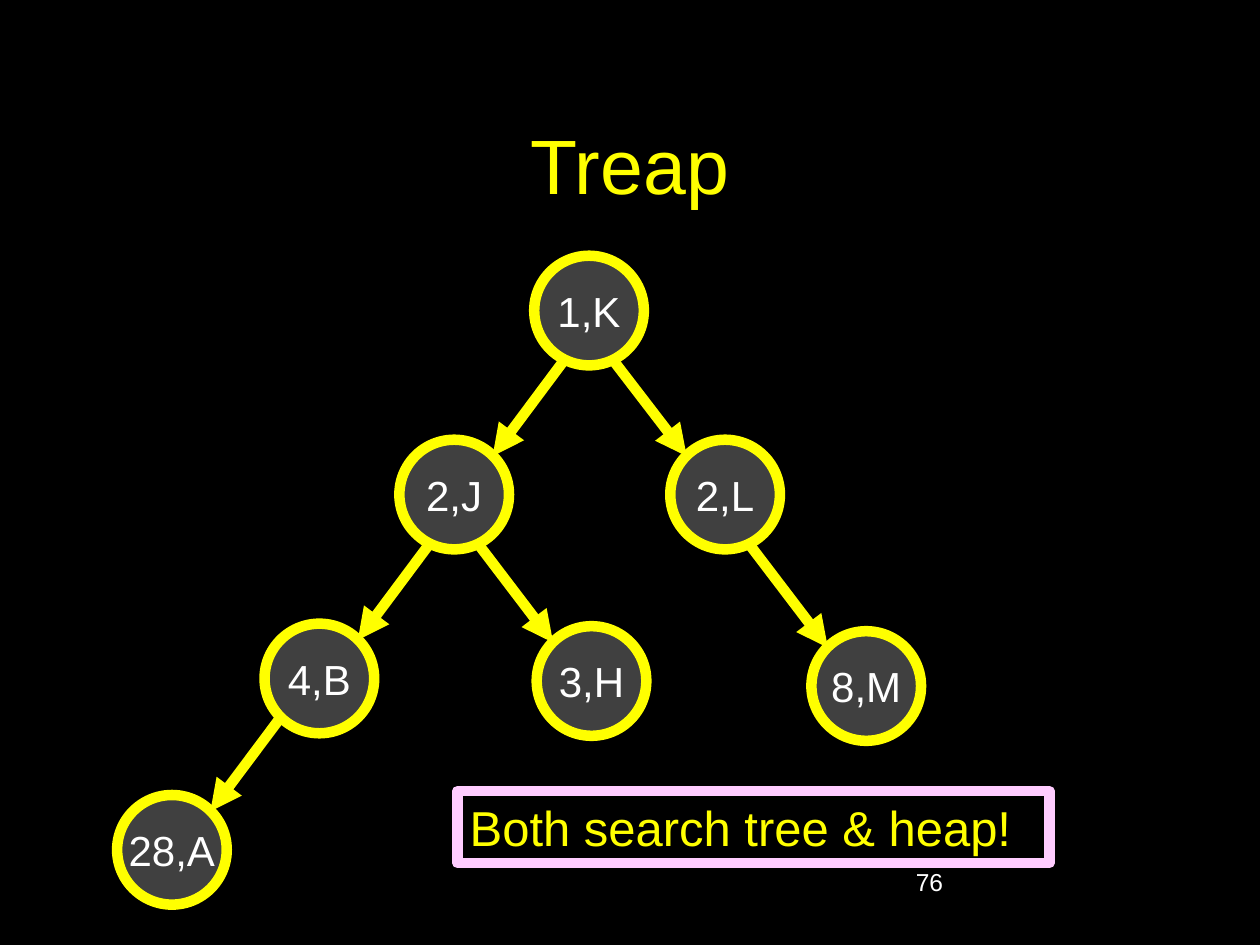
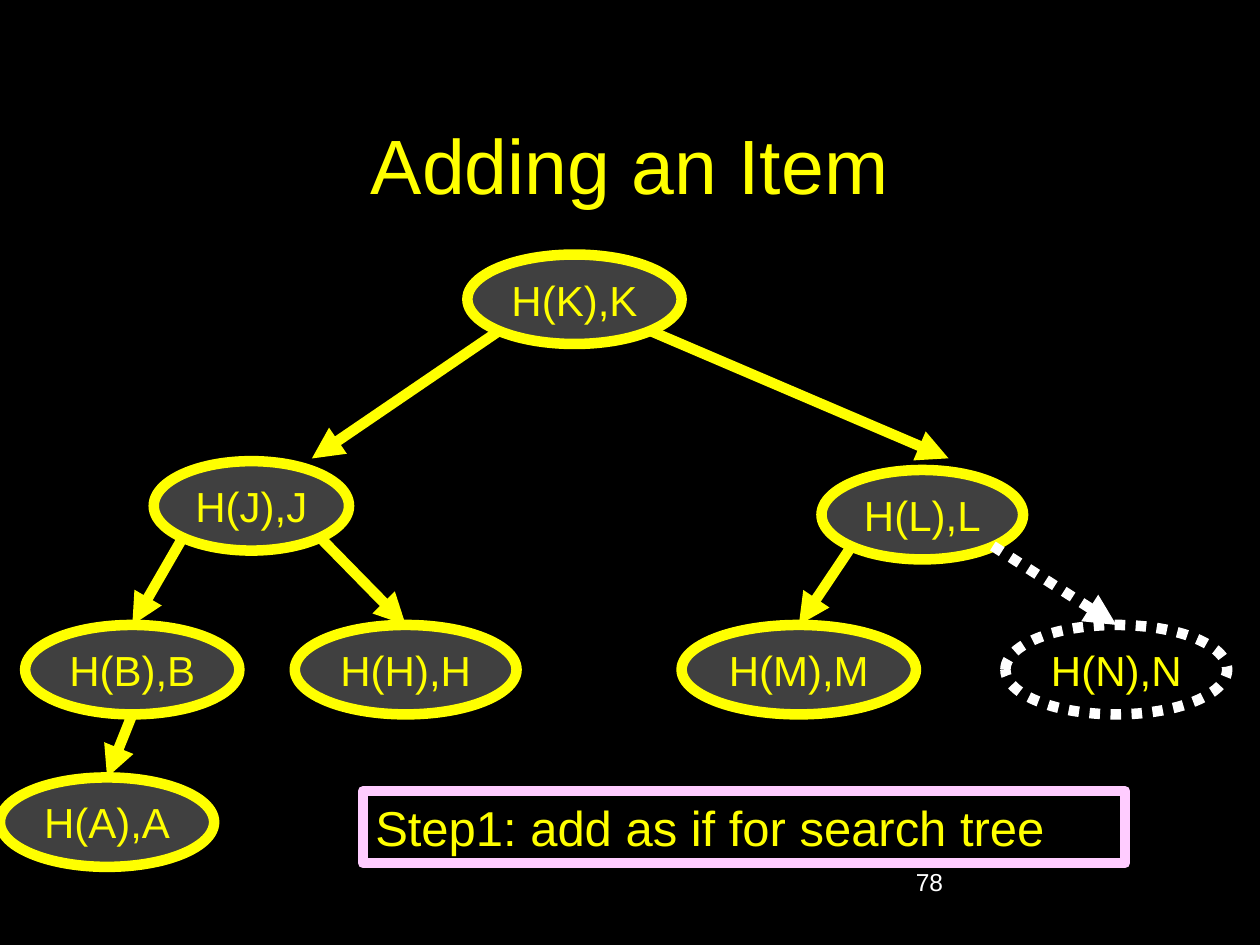
from dataclasses import dataclass
from typing import NamedTuple

from lxml.etree import SubElement
from pptx import Presentation
from pptx.dml.color import RGBColor
from pptx.enum.dml import MSO_LINE
from pptx.enum.shapes import MSO_CONNECTOR, MSO_SHAPE
from pptx.enum.text import MSO_ANCHOR, PP_ALIGN
from pptx.oxml.ns import qn
from pptx.util import Inches, Pt


class Box(NamedTuple):
    """A rectangle in inches."""
    left: float
    top: float
    width: float
    height: float

    def inches(self):
        """Return the four measures as lengths."""
        return [Inches(value) for value in self]

    def inner(self, left, top, width, height):
        """Return a box placed relative to this one."""
        return Box(self.left + left, self.top + top, width, height)

    def point(self, port):
        """Return the point at the given fractions of width and height."""
        across, down = port
        return (Inches(self.left + across * self.width),
                Inches(self.top + down * self.height))


@dataclass(frozen=True)
class Theme:
    """Colours and type sizes of the deck."""
    font: str = "Arial"
    ground: RGBColor = RGBColor(0, 0, 0)
    accent: RGBColor = RGBColor(0xFF, 0xFF, 0)
    node: RGBColor = RGBColor(0x40, 0x40, 0x40)
    light: RGBColor = RGBColor(0xFF, 0xFF, 0xFF)
    frame: RGBColor = RGBColor(0xFF, 0xCC, 0xFF)
    title_size: Pt = Pt(44)
    callout_size: Pt = Pt(28)
    node_size: Pt = Pt(24)
    number_size: Pt = Pt(14)
    stroke: Pt = Pt(6)


THEME = Theme()
SLIDE = Box(0, 0, 10, 7.5)
TITLE = Box(0.75, 0.67, 8.5, 1.25)
NUMBER = Box(7.17, 6.83, 2.08, 0.5)

TOP = (0.5, 0)
BOTTOM = (0.5, 1)
UPPER_LEFT, UPPER_RIGHT = (0.15, 0.15), (0.85, 0.15)
LOWER_LEFT, LOWER_RIGHT = (0.15, 0.85), (0.85, 0.85)
CIRCLE_LEFT, CIRCLE_RIGHT = (0.29, 0.93), (0.71, 0.94)

TREAP_AREA = Box(0.93, 2.03, 6.38, 5.15)
TREAP_HEIGHT = 0.87
TREAP_NODES = {
    "1,K": (3.31, 0, 0.87),
    "2,J": (2.24, 1.46, 0.87),
    "2,L": (4.39, 1.46, 0.87),
    "4,B": (1.17, 2.92, 0.87),
    "3,H": (3.33, 2.94, 0.87),
    "8,M": (5.51, 2.98, 0.87),
    "28,A": (0, 4.28, 0.87),
}
TREAP_EDGES = [
    ("1,K", CIRCLE_LEFT, "2,J", UPPER_RIGHT),
    ("1,K", CIRCLE_RIGHT, "2,L", UPPER_LEFT),
    ("2,J", CIRCLE_LEFT, "4,B", UPPER_RIGHT),
    ("2,J", CIRCLE_RIGHT, "3,H", UPPER_LEFT),
    ("2,L", CIRCLE_RIGHT, "8,M", UPPER_LEFT),
    ("4,B", LOWER_LEFT, "28,A", UPPER_RIGHT),
]

HASH_AREA = Box(0, 2.02, 9.74, 4.86)
HASH_HEIGHT = 0.71
HASH_NODES = {
    "H(K),K": (3.71, 0, 1.7),
    "H(J),J": (1.22, 1.64, 1.55),
    "H(L),L": (6.52, 1.71, 1.6),
    "H(B),B": (0.2, 2.94, 1.7),
    "H(H),H": (2.34, 2.94, 1.76),
    "H(M),M": (5.41, 2.94, 1.86),
    "H(N),N": (7.98, 2.94, 1.76),
    "H(A),A": (0, 4.15, 1.7),
}
HASH_EDGES = [
    ("H(K),K", LOWER_LEFT, "H(J),J", (0.81, -0.03)),
    ("H(K),K", LOWER_RIGHT, "H(L),L", (0.63, -0.13)),
    ("H(J),J", LOWER_LEFT, "H(B),B", TOP),
    ("H(J),J", LOWER_RIGHT, "H(H),H", TOP),
    ("H(L),L", LOWER_LEFT, "H(M),M", TOP),
    ("H(L),L", LOWER_RIGHT, "H(N),N", TOP),
    ("H(B),B", BOTTOM, "H(A),A", TOP),
]


def write(shape, text, size, color, align=PP_ALIGN.LEFT, anchor=MSO_ANCHOR.TOP, wrap=True):
    """Put one styled paragraph into a shape."""
    frame = shape.text_frame
    frame.word_wrap = wrap
    frame.vertical_anchor = anchor
    para = frame.paragraphs[0]
    para.text = text
    para.alignment = align
    para.font.name = THEME.font
    para.font.size = size
    para.font.color.rgb = color


def set_stroke(line, added=False):
    """Style a line, dotted and white when it belongs to an added item."""
    line.color.rgb = THEME.light if added else THEME.accent
    line.width = THEME.stroke
    if added:
        line.dash_style = MSO_LINE.ROUND_DOT


def add_node(page, box, label, color, added):
    """Draw one tree node, unfilled when it is being added."""
    node = page.shapes.add_shape(MSO_SHAPE.OVAL, *box.inches())
    node.shadow.inherit = False
    if added:
        node.fill.background()
    else:
        node.fill.solid()
        node.fill.fore_color.rgb = THEME.node
    set_stroke(node.line, added)
    write(node, label, THEME.node_size, color, PP_ALIGN.CENTER, MSO_ANCHOR.MIDDLE, False)


def add_arrow(page, start, end, added):
    """Draw an arrow from parent to child."""
    arrow = page.shapes.add_connector(MSO_CONNECTOR.STRAIGHT, *start, *end)
    set_stroke(arrow.line, added)
    SubElement(arrow.get_or_add_ln(), qn("a:tailEnd"), type="triangle")
    SubElement(arrow._element.spPr, qn("a:effectLst"))


def add_tree(page, area, nodes, height, edges, color, new_item=None):
    """Draw the nodes and arrows of a tree inside an area."""
    boxes = {label: area.inner(left, top, width, height)
             for label, (left, top, width) in nodes.items()}
    for label, box in boxes.items():
        add_node(page, box, label, color, label == new_item)
    for parent, start, child, end in edges:
        add_arrow(page, boxes[parent].point(start), boxes[child].point(end), child == new_item)


def add_callout(page, box, text):
    """Draw the framed remark below the tree."""
    callout = page.shapes.add_shape(MSO_SHAPE.RECTANGLE, *box.inches())
    callout.shadow.inherit = False
    callout.fill.solid()
    callout.fill.fore_color.rgb = THEME.ground
    callout.line.color.rgb = THEME.frame
    callout.line.width = THEME.stroke
    write(callout, text, THEME.callout_size, THEME.accent)


def add_page(deck, title, number):
    """Add a black page with its title and page number."""
    page = deck.slides.add_slide(deck.slide_layouts[6])
    page.background.fill.solid()
    page.background.fill.fore_color.rgb = THEME.ground
    write(page.shapes.add_textbox(*TITLE.inches()), title, THEME.title_size,
          THEME.accent, PP_ALIGN.CENTER, MSO_ANCHOR.MIDDLE)
    write(page.shapes.add_textbox(*NUMBER.inches()), number, THEME.number_size, THEME.light)
    return page


def main():
    """Build and save the deck."""
    deck = Presentation()
    deck.slide_width, deck.slide_height = Inches(SLIDE.width), Inches(SLIDE.height)

    page = add_page(deck, "Treap", "76")
    add_tree(page, TREAP_AREA, TREAP_NODES, TREAP_HEIGHT, TREAP_EDGES, THEME.light)
    add_callout(page, Box(3.63, 6.28, 4.7, 0.57), "Both search tree & heap!")

    page = add_page(deck, "Adding an Item", "78")
    add_tree(page, HASH_AREA, HASH_NODES, HASH_HEIGHT, HASH_EDGES, THEME.accent, "H(N),N")
    add_callout(page, Box(2.88, 6.28, 6.05, 0.57), "Step1: add as if for search tree")

    deck.save("out.pptx")


if __name__ == "__main__":
    main()
